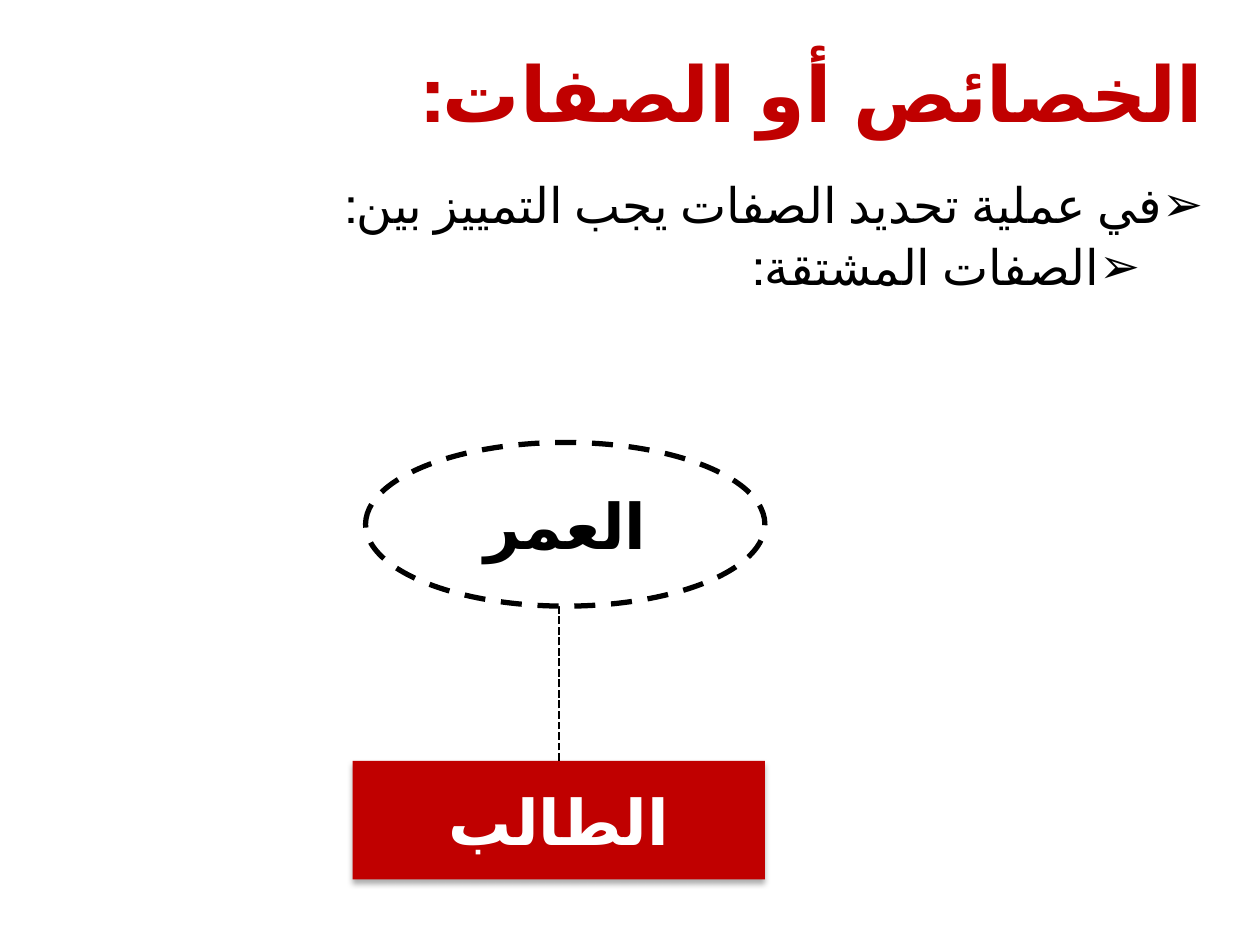
"""Build a right-to-left slide on derived attributes in an entity diagram."""
from lxml import etree
from pptx import Presentation
from pptx import util as u
from pptx.dml.color import RGBColor
from pptx.enum import dml, lang, shapes, text
from pptx.oxml.ns import qn

TITLE = "الخصائص أو الصفات:"
BULLETS = [
    ("في عملية تحديد الصفات يجب التمييز بين:", 0, 0.64, 10),
    ("الصفات المشتقة:", 1, 1.91, 5),
]
ENTITY = "الطالب"
ATTRIBUTE = "العمر"

THEME = {
    "red": RGBColor(0xC0, 0, 0),
    "black": RGBColor(0, 0, 0),
    "white": RGBColor(255, 255, 255),
    "head": "Calibri",
    "body": "Roboto",
    "title_size": 44,
    "body_size": 28,
    "node_size": 36,
}
TITLE_BOX = (1.68, 0.71, 22.83, 2.51)
BODY_BOX = (1.7, 3.53, 22.81, 3.99)
ENTITY_BOX = (7.11, 15.34, 8.31, 2.39)
ATTRIBUTE_BOX = (7.37, 8.92, 8.05, 3.3)
LINK_END = 12.04
HANGING = 0.64


def lengths(values):
    return [u.Cm(value) for value in values]


def assign(target, **values):
    for name, value in values.items():
        setattr(target, name, value)


def child(parent, tag, **attributes):
    return etree.SubElement(parent, qn(tag), {k: str(v) for k, v in attributes.items()})


def write(para, words, font, size, color, bold, **layout):
    assign(para, **layout)
    para._p.get_or_add_pPr().set("rtl", "1")
    span = para.add_run()
    span.text = words
    assign(span.font, name=font, size=u.Pt(size), bold=bold,
           language_id=lang.MSO_LANGUAGE_ID.ARABIC)
    span.font.color.rgb = THEME[color]


def style_line(line, width, dash):
    line.color.rgb = THEME["black"]
    assign(line, width=u.Pt(width), dash_style=dash)


def add_node(group, kind, box, words, fill, color):
    node = group.shapes.add_shape(kind, *lengths(box))
    node.shadow.inherit = False
    node.fill.solid()
    node.fill.fore_color.rgb = THEME[fill]
    node.line.fill.background()
    node.text_frame.vertical_anchor = text.MSO_ANCHOR.MIDDLE
    write(node.text_frame.paragraphs[0], words, THEME["head"], THEME["node_size"],
          color, True, alignment=text.PP_ALIGN.CENTER)
    return node


def add_shadow(node):
    effects = node._element.spPr.find(qn("a:effectLst"))
    shadow = child(effects, "a:outerShdw", blurRad=u.Pt(3.5), dist=u.Pt(2.2),
                   dir=90 * 60000, algn="ctr", rotWithShape=0)
    tint = child(shadow, "a:srgbClr", val=THEME["black"])
    child(tint, "a:alpha", val=32000)


def add_title(page):
    title = page.shapes.title
    assign(title, **dict(zip(("left", "top", "width", "height"), lengths(TITLE_BOX))))
    assign(title.text_frame, word_wrap=True, auto_size=text.MSO_AUTO_SIZE.NONE,
           vertical_anchor=text.MSO_ANCHOR.MIDDLE)
    write(title.text_frame.paragraphs[0], TITLE, THEME["head"], THEME["title_size"],
          "red", True, alignment=text.PP_ALIGN.RIGHT, line_spacing=0.9)


def add_bullets(page):
    frame = page.shapes.add_textbox(*lengths(BODY_BOX)).text_frame
    frame.word_wrap = True
    for index, (words, level, margin, before) in enumerate(BULLETS):
        para = frame.add_paragraph() if index else frame.paragraphs[0]
        write(para, words, THEME["body"], THEME["body_size"], "black", False,
              level=level, alignment=text.PP_ALIGN.JUSTIFY,
              line_spacing=0.9, space_before=u.Pt(before))
        settings = para._p.get_or_add_pPr()
        settings.set("marL", str(u.Cm(margin)))
        settings.set("indent", str(-u.Cm(HANGING)))
        child(settings, "a:buFont", typeface=THEME["body"])
        child(settings, "a:buChar", char="➢")


def add_diagram(page):
    group = page.shapes.add_group_shape()
    entity = add_node(group, shapes.MSO_SHAPE.RECTANGLE, ENTITY_BOX, ENTITY, "red", "white")
    add_shadow(entity)
    left, top, width, _ = ENTITY_BOX
    middle = left + width / 2
    link = group.shapes.add_connector(shapes.MSO_CONNECTOR.STRAIGHT,
                                      *lengths((middle, top, middle, LINK_END)))
    link.begin_connect(entity, 0)
    style_line(link.line, 1.5, dml.MSO_LINE.SQUARE_DOT)
    child(link._element.spPr, "a:effectLst")
    attribute = add_node(group, shapes.MSO_SHAPE.OVAL, ATTRIBUTE_BOX, ATTRIBUTE,
                         "white", "black")
    style_line(attribute.line, 3, dml.MSO_LINE.DASH)


def main():
    deck = Presentation()
    assign(deck, slide_width=u.Cm(25.4), slide_height=u.Cm(19.05))
    page = deck.slides.add_slide(deck.slide_layouts[5])
    add_title(page)
    add_bullets(page)
    add_diagram(page)
    deck.save("out.pptx")


if __name__ == "__main__":
    main()
